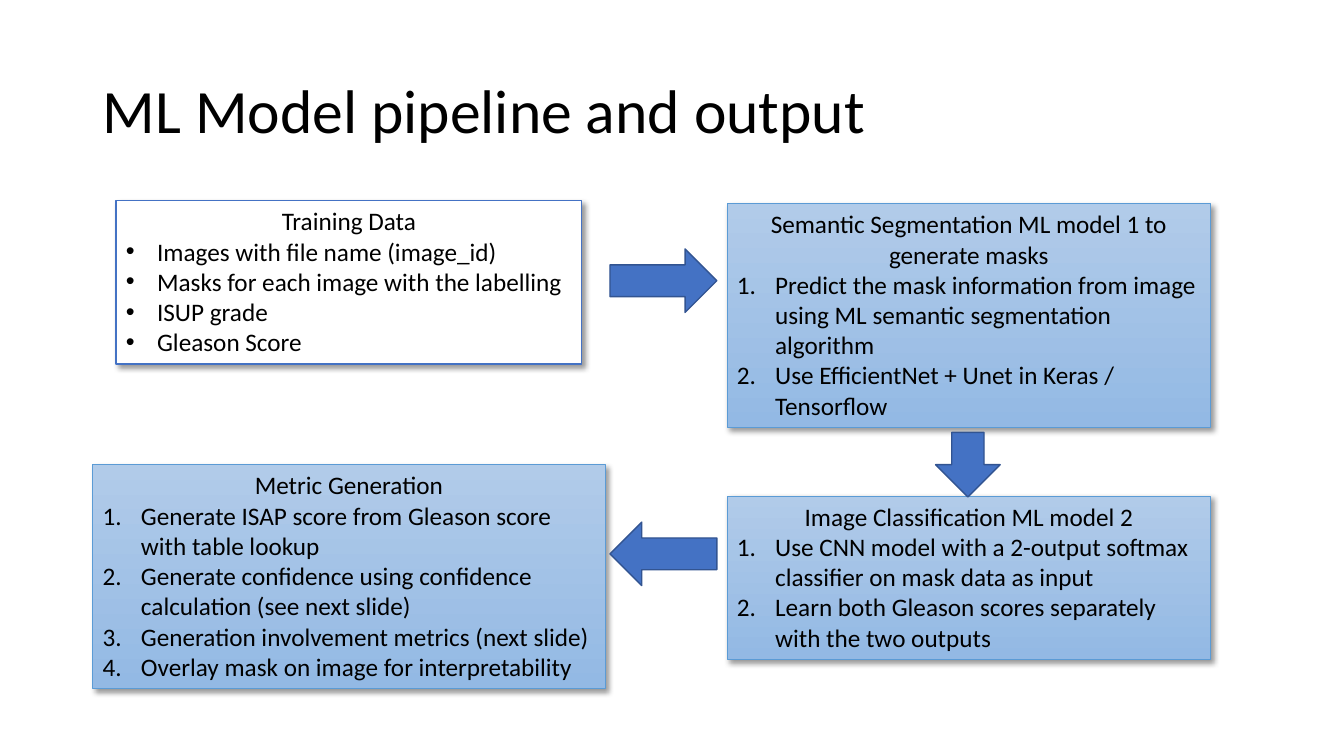
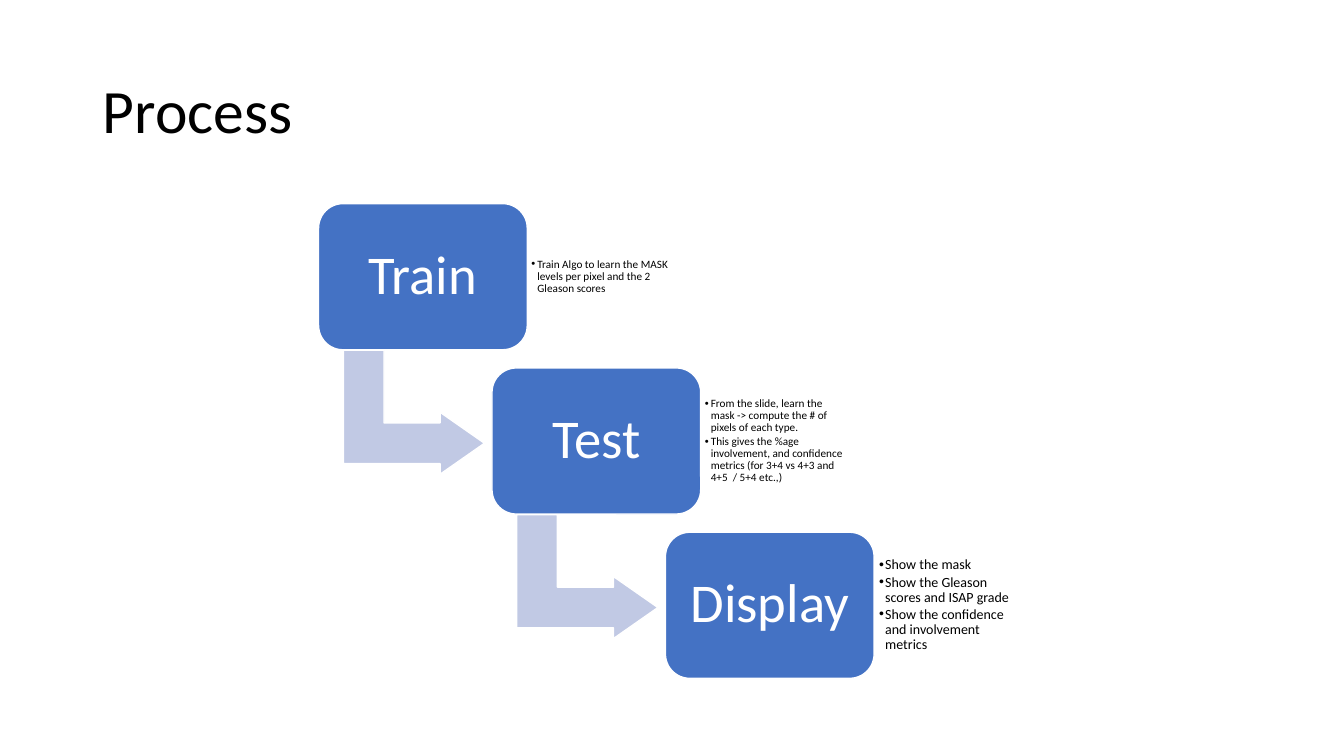
from pptx import Presentation
from pptx import util as u
from pptx.dml.color import RGBColor
from pptx.enum import shapes, text
from pptx.oxml.ns import qn
from lxml import etree

FONT = "Calibri"
BLACK, WHITE, BLUE = "000000", "FFFFFF", "4472C4"
ARROW_EDGE, MODEL_EDGE, BENT_FILL = "325491", "5B9BD5", "C1C9E4"
MODEL_GRADIENT = ("B1CBE9", "93B9E4")

BULLET, NUMBER = "bullet", "number"
TITLE_BOX = (0.92, 0.4, 11.5, 1.45)

# Pipeline boxes: heading, list kind, items, (left, top, width, height)
PIPELINE = [
    ("Training Data", BULLET,
     ["Images with file name (image_id)",
      "Masks for each image with the labelling",
      "ISUP grade",
      "Gleason Score"],
     (1.15, 1.99, 4.62, 1.62)),
    ("Semantic Segmentation ML model 1 to generate masks", NUMBER,
     ["Predict the mask information from image using ML semantic segmentation algorithm",
      "Use EfficientNet + Unet in Keras / Tensorflow"],
     (7.21, 2.02, 4.8, 2.22)),
    ("Image Classification ML model 2", NUMBER,
     ["Use CNN model with a 2-output softmax classifier on mask data as input",
      "Learn both Gleason scores separately with the two outputs"],
     (7.21, 4.92, 4.8, 1.62)),
    ("Metric Generation", NUMBER,
     ["Generate ISAP score from Gleason score with table lookup",
      "Generate confidence using confidence calculation (see next slide)",
      "Generation involvement metrics (next slide)",
      "Overlay mask on image for interpretability"],
     (0.92, 4.61, 5.08, 2.22)),
]
PIPELINE_ARROWS = [
    (shapes.MSO_SHAPE.RIGHT_ARROW, (6.05, 2.47, 1.06, 0.63)),
    (shapes.MSO_SHAPE.DOWN_ARROW, (9.28, 4.29, 0.64, 0.64)),
    (shapes.MSO_SHAPE.LEFT_ARROW, (6.05, 5.18, 1.06, 0.63)),
]

# Process steps: name, size of the notes, notes
STEPS = [
    ("Train", 8, ["Train Algo to learn the MASK levels per pixel and the 2 Gleason scores"]),
    ("Test", 8, ["From the slide, learn the mask -> compute the # of pixels of each type.",
                 "This gives the %age involvement, and confidence metrics "
                 "(for 3+4 vs 4+3 and 4+5  / 5+4 etc.,)"]),
    ("Display", 10, ["Show the mask",
                     "Show the Gleason scores and ISAP grade",
                     "Show the confidence and involvement metrics"]),
]
STEP_LEFT, STEP_TOP, STEP_WIDTH, STEP_HEIGHT = 3.16, 2.02, 2.07, 1.45
STEP_RIGHT, STEP_DOWN = 1.72, 1.63


def color(value):
    return RGBColor.from_string(value)


def inches(box):
    return [u.Inches(value) for value in box]


def write(paragraph, words, size, ink=BLACK, align=text.PP_ALIGN.LEFT):
    paragraph.alignment = align
    run = paragraph.add_run()
    run.text = words
    run.font.name = FONT
    run.font.size = u.Pt(size)
    run.font.color.rgb = color(ink)


def mark_item(paragraph, kind, indent):
    """Give a paragraph a hanging bullet or number; call after its spacing is set."""
    properties = paragraph._p.get_or_add_pPr()
    properties.set("marL", str(u.Inches(indent)))
    properties.set("indent", str(-u.Inches(indent)))
    if kind == NUMBER:
        etree.SubElement(properties, qn("a:buFont"), typeface="+mj-lt")
        etree.SubElement(properties, qn("a:buAutoNum"), type="arabicPeriod")
    else:
        etree.SubElement(properties, qn("a:buFont"), typeface="Arial")
        etree.SubElement(properties, qn("a:buChar"), char="•")


def set_frame(frame, anchor, inset=None):
    frame.word_wrap = True
    frame.vertical_anchor = anchor
    if inset is not None:
        frame.margin_left = frame.margin_right = u.Inches(inset)
        frame.margin_top = frame.margin_bottom = u.Inches(inset)


def add_shape(slide, kind, box, edge, width, fill=None):
    shape = slide.shapes.add_shape(kind, *inches(box))
    shape.shadow.inherit = False
    shape.line.color.rgb = color(edge)
    shape.line.width = u.Pt(width)
    if fill:
        shape.fill.solid()
        shape.fill.fore_color.rgb = color(fill)
    return shape


def fill_gradient(shape, colors):
    shape.fill.gradient()
    shape.fill.gradient_angle = 270
    for stop, value in zip(shape.fill.gradient_stops, colors):
        stop.color.rgb = color(value)


def add_shadow(shape):
    effects = shape._element.spPr.find(qn("a:effectLst"))
    shadow = etree.SubElement(effects, qn("a:outerShdw"), blurRad=str(u.Pt(4)),
                              dist=str(u.Pt(3)), dir="2700000", algn="tl", rotWithShape="0")
    ink = etree.SubElement(shadow, qn("a:srgbClr"), val=BLACK)
    etree.SubElement(ink, qn("a:alpha"), val="40000")


def add_slide(presentation, title):
    slide = presentation.slides.add_slide(presentation.slide_layouts[5])
    holder = slide.shapes.title
    holder.left, holder.top, holder.width, holder.height = inches(TITLE_BOX)
    set_frame(holder.text_frame, text.MSO_ANCHOR.MIDDLE)
    holder.text_frame.auto_size = text.MSO_AUTO_SIZE.NONE
    paragraph = holder.text_frame.paragraphs[0]
    paragraph.line_spacing = 0.9
    write(paragraph, title, 44)
    return slide


def add_pipeline_box(slide, heading, kind, items, box):
    if kind == NUMBER:
        shape = add_shape(slide, shapes.MSO_SHAPE.RECTANGLE, box, MODEL_EDGE, 0.5)
        fill_gradient(shape, MODEL_GRADIENT)
    else:
        shape = add_shape(slide, shapes.MSO_SHAPE.RECTANGLE, box, BLUE, 1, WHITE)
    add_shadow(shape)
    frame = shape.text_frame
    set_frame(frame, text.MSO_ANCHOR.TOP)
    write(frame.paragraphs[0], heading, 18, align=text.PP_ALIGN.CENTER)
    for item in items:
        paragraph = frame.add_paragraph()
        write(paragraph, item, 18)
        mark_item(paragraph, kind, 0.38 if kind == NUMBER else 0.31)


def add_step(slide, index, name, size, notes):
    left = STEP_LEFT + index * STEP_RIGHT
    top = STEP_TOP + index * STEP_DOWN
    if index < len(STEPS) - 1:
        arrow = add_shape(slide, shapes.MSO_SHAPE.BENT_UP_ARROW,
                          (left + 0.33, top + 1.37, 1.23, 1.4), WHITE, 1, BENT_FILL)
        arrow.rotation = 90
        for place, value in enumerate((0.328, 0.25, 0.358)):
            arrow.adjustments[place] = value

    step = add_shape(slide, shapes.MSO_SHAPE.ROUNDED_RECTANGLE,
                     (left, top, STEP_WIDTH, STEP_HEIGHT), WHITE, 1, BLUE)
    step.adjustments[0] = 0.167
    set_frame(step.text_frame, text.MSO_ANCHOR.MIDDLE, 0.1)
    label = step.text_frame.paragraphs[0]
    label.line_spacing = 0.9
    write(label, name, 39, WHITE, text.PP_ALIGN.CENTER)

    note_box = slide.shapes.add_textbox(*inches((left + STEP_WIDTH, top + 0.14, 1.51, 1.17)))
    frame = note_box.text_frame
    set_frame(frame, text.MSO_ANCHOR.MIDDLE, size * 0.005)
    for place, note in enumerate(notes):
        paragraph = frame.add_paragraph() if place else frame.paragraphs[0]
        paragraph.line_spacing = 0.9
        paragraph.space_after = u.Pt(size * 0.15)
        write(paragraph, note, size)
        mark_item(paragraph, BULLET, 0.06)


def main():
    presentation = Presentation()
    presentation.slide_width = u.Inches(13.33)
    presentation.slide_height = u.Inches(7.5)

    pipeline = add_slide(presentation, "ML Model pipeline and output")
    for entry in PIPELINE:
        add_pipeline_box(pipeline, *entry)
    for kind, box in PIPELINE_ARROWS:
        add_shape(pipeline, kind, box, ARROW_EDGE, 1, BLUE)

    process = add_slide(presentation, "Process")
    for index, step in enumerate(STEPS):
        add_step(process, index, *step)

    presentation.save("out.pptx")


if __name__ == "__main__":
    main()
